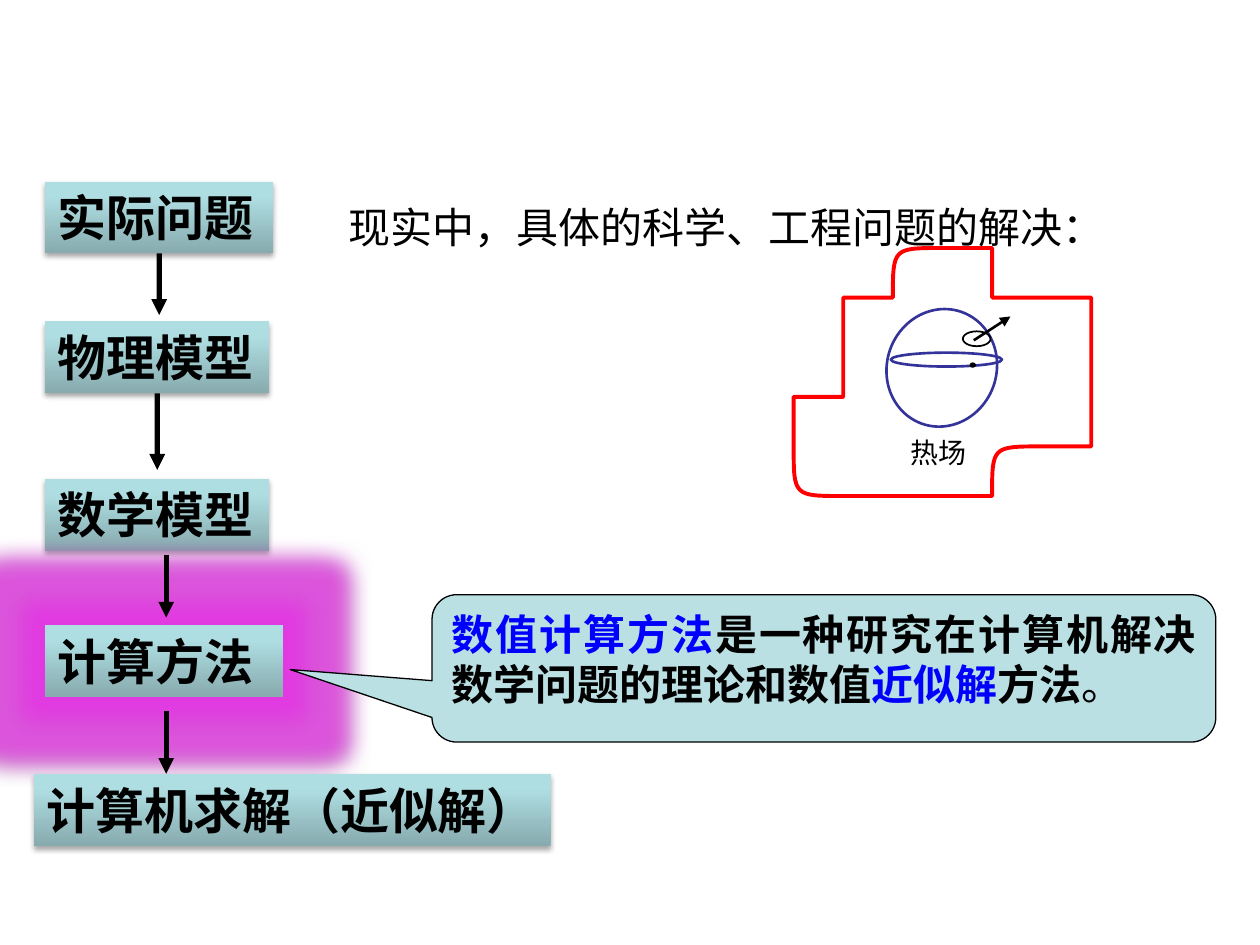
from lxml import etree
from pptx import Presentation
from pptx.dml.color import RGBColor
from pptx.enum.lang import MSO_LANGUAGE_ID
from pptx.enum.shapes import MSO_CONNECTOR, MSO_SHAPE
from pptx.enum.text import MSO_ANCHOR, PP_ALIGN
from pptx.oxml import parse_xml
from pptx.oxml.ns import nsdecls, qn
from pptx.util import Cm, Pt

STRAIGHT = MSO_CONNECTOR.STRAIGHT
RECTANGLE, OVAL = MSO_SHAPE.RECTANGLE, MSO_SHAPE.OVAL
CALLOUT = MSO_SHAPE.ROUNDED_RECTANGULAR_CALLOUT
TOP = MSO_ANCHOR.TOP
LEFT, CENTER, JUSTIFY = PP_ALIGN.LEFT, PP_ALIGN.CENTER, PP_ALIGN.JUSTIFY
CHINESE = MSO_LANGUAGE_ID.SIMPLIFIED_CHINESE
BOTTOM_SIDE = 2
COLORS = {
    "black": "000000", "blue": "0000FF", "navy": "333399", "red": "FF0000",
    "callout": "BBE0E3", "dark": "87ABAE", "middle": "AFDEE2",
    "light": "AFE0E4", "glow": "E633E6",
}


def write_text(shape, text, size=24, bold=False, color="black", font="Karla",
               align=LEFT, wrap=True):
    frame = shape.text_frame
    frame.word_wrap = wrap
    frame.vertical_anchor = TOP
    para = frame.paragraphs[0]
    para.alignment = align
    span = para.add_run()
    span.text = text
    span.font.size = Pt(size)
    span.font.bold = bold
    span.font.name = font
    span.font.language_id = CHINESE
    span.font.color.rgb = RGBColor.from_string(COLORS[color])


def draw_arrow(shapes, x1, y1, x2, y2, width):
    arrow = shapes.add_connector(STRAIGHT, Cm(x1), Cm(y1), Cm(x2), Cm(y2))
    arrow.line.width = Pt(width)
    arrow.line.color.rgb = RGBColor.from_string(COLORS["black"])
    etree.SubElement(arrow.line._get_or_add_ln(), qn("a:tailEnd"), type="triangle")
    etree.SubElement(arrow._element.spPr, qn("a:effectLst"))
    return arrow


deck = Presentation()
deck.slide_width, deck.slide_height = Cm(25.4), Cm(19.05)
page = deck.slides.add_slide(deck.slide_layouts[6])

intro = page.shapes.add_textbox(Cm(6.78), Cm(3.94), Cm(18.62), Cm(1.27))
write_text(intro, "现实中，具体的科学、工程问题的解决：")

steps = [
    ("实际问题", 0.91, 3.66, 4.6),
    ("物理模型", 0.91, 6.48, 4.52),
    ("数学模型", 0.91, 9.65, 4.52),
    ("计算方法", 0.91, 12.6, 4.8),
    ("计算机求解（近似解）", 0.69, 15.6, 10.41),
]
boxes = []
for label, left, top, width in steps:
    box = page.shapes.add_shape(RECTANGLE, Cm(left), Cm(top), Cm(width), Cm(1.45))
    box.line.fill.background()
    box.shadow.inherit = False
    properties = box._element.spPr
    properties.find(qn("a:prstGeom")).addnext(parse_xml(
        f'<a:gradFill {nsdecls("a")} rotWithShape="1"><a:gsLst>'
        + "".join(f'<a:gs pos="{position}"><a:srgbClr val="{COLORS[name]}"/></a:gs>'
                  for position, name in ((0, "dark"), (80000, "middle"), (100000, "light")))
        + '</a:gsLst><a:lin ang="16200000" scaled="0"/></a:gradFill>'))
    effects = properties.find(qn("a:effectLst"))
    if label == "计算方法":
        effects.append(parse_xml(
            f'<a:glow {nsdecls("a")} rad="{Cm(0.9)}"><a:srgbClr val="{COLORS["glow"]}">'
            '<a:alpha val="75000"/></a:srgbClr></a:glow>'))
    effects.append(parse_xml(
        f'<a:outerShdw {nsdecls("a")} blurRad="{Pt(3.1)}" dist="{Pt(1.8)}" dir="5400000" '
        f'rotWithShape="0"><a:srgbClr val="{COLORS["black"]}">'
        '<a:alpha val="35000"/></a:srgbClr></a:outerShdw>'))
    write_text(box, label, size=28, bold=True, wrap=False)
    boxes.append(box)

flow = [(3.21, 5.11, 6.35), (3.17, 7.93, 9.47), (3.35, 11.18, 12.45), (3.35, 14.33, 15.6)]
arrows = [draw_arrow(page.shapes, x, start, x, end, 3) for x, start, end in flow]
for arrow, box in zip(arrows[:2], boxes):
    arrow.begin_connect(box, BOTTOM_SIDE)

callout = page.shapes.add_shape(CALLOUT, Cm(8.71), Cm(11.99), Cm(15.8), Cm(2.97))
for index, value in enumerate((-0.681, 0.008, 0.167)):
    callout.adjustments[index] = value
callout.shadow.inherit = False
callout.fill.solid()
callout.fill.fore_color.rgb = RGBColor.from_string(COLORS["callout"])
callout.line.width = Pt(0.75)
callout.line.color.rgb = RGBColor.from_string(COLORS["black"])
for text, color, bold in [
    ("数值计算方法", "blue", True),
    ("是一种研究在计算机解决数学问题的理论和数值", "black", True),
    ("近似解", "blue", True),
    ("方法", "black", True),
    ("。", "black", False),
]:
    write_text(callout, text, color=color, bold=bold, align=JUSTIFY)

heat_field = page.shapes.add_group_shape().shapes
ovals = [
    (17.88, 6.22, 2.21, 2.39, 19.6, "navy", 1.5, False),
    (17.96, 7.11, 2.24, 0.28, 0, "navy", 1.5, False),
    (19.41, 6.68, 0.56, 0.3, 0, "black", 1, False),
    (19.56, 7.32, 0.1, 0.08, 0, "black", 0.75, True),
]
for left, top, width, height, angle, color, weight, filled in ovals:
    oval = heat_field.add_shape(OVAL, Cm(left), Cm(top), Cm(width), Cm(height))
    oval.rotation = angle
    oval.shadow.inherit = False
    oval.line.width = Pt(weight)
    oval.line.color.rgb = RGBColor.from_string(COLORS[color])
    if filled:
        oval.fill.solid()
        oval.fill.fore_color.rgb = RGBColor.from_string(COLORS[color])
    else:
        oval.fill.background()
caption = heat_field.add_textbox(Cm(17.55), Cm(8.66), Cm(2.74), Cm(0.81))
write_text(caption, "热场", size=16, font="Noto Sans CJK SC", align=CENTER)
draw_arrow(heat_field, 19.63, 6.86, 20.37, 6.38, 1.5)

outline = [
    (16.43, 9.47), (16.33, 8.66), (16.46, 8.13), (16.54, 7.59), (16.64, 7.32),
    (16.87, 6.81), (17.04, 6.43), (17.55, 5.84), (17.93, 5.51), (18.52, 5.36),
    (19.28, 5.36), (19.58, 5.44), (20.12, 5.59), (20.83, 5.87), (21.62, 6.43),
    (21.97, 6.81), (22.12, 7.14), (22.2, 7.75), (22.02, 8.46), (21.69, 8.84),
    (21.23, 9.17), (20.6, 9.42), (20.32, 9.55), (19.58, 9.78), (19.15, 9.86),
    (18.75, 9.88), (17.4, 9.88), (16.84, 9.68), (16.51, 9.55),
]
count = len(outline)
curve = []
for index, here in enumerate(outline):
    before = outline[index - 1]
    after, beyond = (outline[(index + step) % count] for step in (1, 2))
    curve.append([h + (a - b) / 6 for b, h, a in zip(before, here, after)])
    curve.append([a - (b - h) / 6 for h, a, b in zip(here, after, beyond)])
    curve.append(after)
builder = heat_field.build_freeform(*outline[0], scale=Cm(1))
builder.add_line_segments(curve, close=True)
boundary = builder.convert_to_shape()
lines = list(boundary._element.iter(qn("a:lnTo")))
for first in range(0, 3 * count, 3):
    bend = etree.Element(qn("a:cubicBezTo"))
    lines[first].addprevious(bend)
    for line in lines[first:first + 3]:
        bend.append(line[0])
        line.getparent().remove(line)
boundary.shadow.inherit = False
boundary.fill.background()
boundary.line.width = Pt(2.25)
boundary.line.color.rgb = RGBColor.from_string(COLORS["red"])

deck.save("out.pptx")
